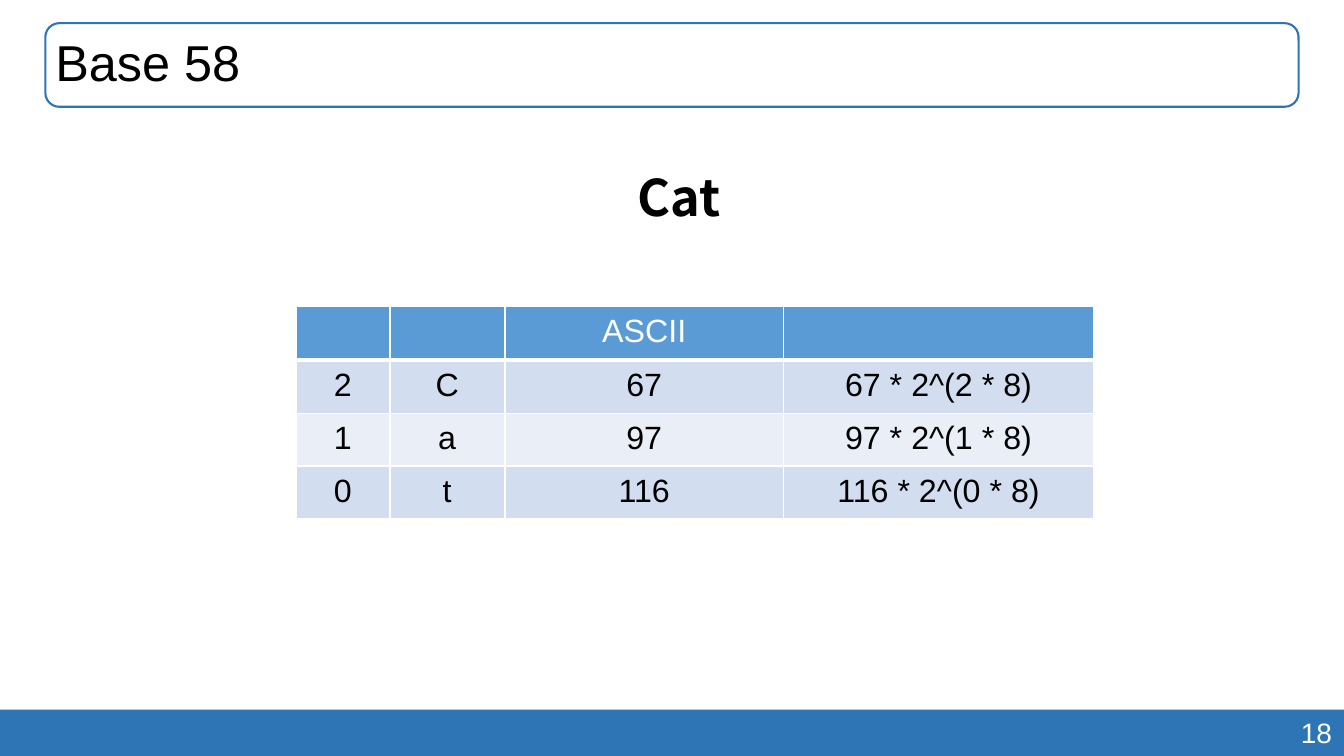
import pptx
import pptx.dml.color
import pptx.enum.shapes
import pptx.enum.text
import pptx.oxml.ns
import pptx.util
import lxml.etree
from pptx.util import Inches

# Content
TITLE = "Base 58"
WORD = "Cat"
PAGE_NUMBER = "18"
# One table per column: left, width, header, values
COLUMNS = [
    (2.94, 0.92, "", ["2", "1", "0"]),
    (3.87, 1.13, "", ["C", "a", "t"]),
    (5.01, 2.76, "ASCII", ["67", "97", "116"]),
    (7.77, 3.08, "", ["67 * 2^(2 * 8)", "97 * 2^(1 * 8)", "116 * 2^(0 * 8)"]),
]
TABLE_TOP = 3.04
ROW_HEIGHTS = [0.53, 0.53, 0.52, 0.52]
TITLE_AREA = (0.45, 0.23, 12.43, 0.83)
COLORS = {
    "blue": "2E75B6",
    "header": "5B9BD5",
    "odd": "D2DEEF",
    "even": "EAEFF7",
    "black": "000000",
    "white": "FFFFFF",
}
ALIGN = pptx.enum.text.PP_ALIGN
ANCHOR = pptx.enum.text.MSO_ANCHOR
SHAPE = pptx.enum.shapes.MSO_SHAPE


def color(name):
    return pptx.dml.color.RGBColor.from_string(COLORS[name])


def style(para, text, size, ink, align, font="Arial", bold=False):
    para.text = text
    para.alignment = align
    para.font.name = font
    para.font.size = pptx.util.Pt(size)
    para.font.bold = bold
    para.font.color.rgb = color(ink)


def add_text(page, area, text, size, ink, align, spacing=1.0, anchor=ANCHOR.TOP, **font):
    box = page.shapes.add_textbox(*map(Inches, area))
    frame = box.text_frame
    frame.word_wrap = True
    frame.vertical_anchor = anchor
    para = frame.paragraphs[0]
    style(para, text, size, ink, align, **font)
    para.line_spacing = spacing


def add_panel(page, kind, area, fill=None, line=None):
    panel = page.shapes.add_shape(kind, *map(Inches, area))
    panel.shadow.inherit = False
    for part, name in ((panel.fill, fill), (panel.line.fill, line)):
        if name:
            part.solid()
            part.fore_color.rgb = color(name)
        else:
            part.background()
    if line:
        panel.line.width = pptx.util.Pt(1.5)


def add_borders(cell, bottom):
    properties = cell._tc.get_or_add_tcPr()
    for place, (side, points) in enumerate([("L", 1), ("R", 1), ("T", 1), ("B", bottom)]):
        line = lxml.etree.Element(pptx.oxml.ns.qn("a:ln" + side), w=str(pptx.util.Pt(points)))
        solid = lxml.etree.SubElement(line, pptx.oxml.ns.qn("a:solidFill"))
        lxml.etree.SubElement(solid, pptx.oxml.ns.qn("a:srgbClr"), val=COLORS["white"])
        properties.insert(place, line)


def add_column(page, left, width, header, values):
    area = (left, TABLE_TOP, width, sum(ROW_HEIGHTS))
    table = page.shapes.add_table(len(ROW_HEIGHTS), 1, *map(Inches, area)).table
    for row, text in enumerate([header] + values):
        table.rows[row].height = Inches(ROW_HEIGHTS[row])
        cell = table.cell(row, 0)
        cell.margin_left = cell.margin_right = Inches(0.13)
        cell.margin_top = cell.margin_bottom = Inches(0.07)
        fill = "header" if row == 0 else "odd" if row % 2 else "even"
        cell.fill.solid()
        cell.fill.fore_color.rgb = color(fill)
        add_borders(cell, bottom=3 if row == 0 else 1)
        ink = "black" if row else "white"
        style(cell.text_frame.paragraphs[0], text, 23, ink, ALIGN.CENTER)


def main():
    deck = pptx.Presentation()
    deck.slide_width, deck.slide_height = Inches(13.33), Inches(7.5)
    page = deck.slides.add_slide(deck.slide_layouts[6])

    # Footer bar with page number
    add_panel(page, SHAPE.RECTANGLE, (0, 7.04, 13.33, 0.46), fill="blue")
    add_text(page, (9.41, 7.05, 3.9, 0.44), PAGE_NUMBER, 20, "white", ALIGN.RIGHT)

    # Framed title
    add_panel(page, SHAPE.ROUNDED_RECTANGLE, TITLE_AREA, line="blue")
    add_text(page, TITLE_AREA, TITLE, 36, "black", ALIGN.LEFT, 0.9, ANCHOR.MIDDLE)

    # Word to encode
    add_text(page, (3.4, 1.3, 6.67, 0.89), WORD, 36, "black", ALIGN.CENTER, 1.5,
             font="Noto Sans CJK KR", bold=True)

    # Encoding tables
    for column in COLUMNS:
        add_column(page, *column)

    deck.save("out.pptx")


if __name__ == "__main__":
    main()
